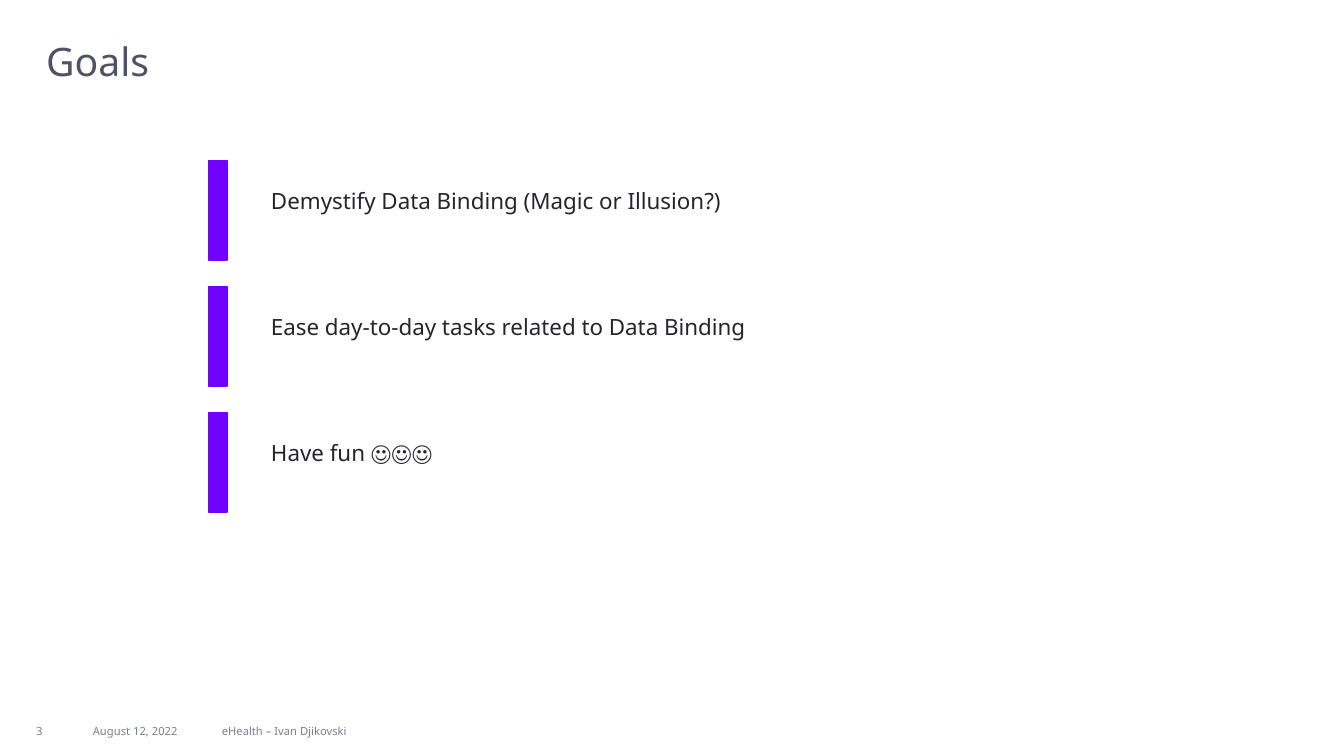
from pptx import Presentation
from pptx.dml.color import RGBColor
from pptx.enum.shapes import MSO_SHAPE
from pptx.enum.text import MSO_ANCHOR as ANCHOR, MSO_AUTO_SIZE as FIT, PP_ALIGN as ALIGN
from pptx.util import Cm, Pt

TITLE = {"size": Pt(28), "color": "515065"}
GOAL = {"size": Pt(16), "color": "26242E"}
FOOTER = {"size": Pt(8), "color": "7B7E8F"}
ACCENT = "7000FF"
GOALS = [
    "Demystify Data Binding (Magic or Illusion?)",
    "Ease day-to-day tasks related to Data Binding",
    "Have fun ☺☺☺",
]


def rgb(value):
    return RGBColor.from_string(value)


def write(tf, text, style, anchor, inset=None):
    frame = {"word_wrap": True, "auto_size": FIT.NONE, "vertical_anchor": anchor}
    if inset is not None:
        for side in ("left", "top", "right", "bottom"):
            frame[f"margin_{side}"] = inset
    for name, value in frame.items():
        setattr(tf, name, value)
    p = tf.paragraphs[0]
    p.alignment = ALIGN.LEFT
    r = p.add_run()
    r.text = text
    for name, value in {"name": "Noto Sans", "size": style["size"]}.items():
        setattr(r.font, name, value)
    r.font.color.rgb = rgb(style["color"])


def add_title(s, left, top, width, height, text):
    sp = s.shapes.title
    box = {"left": left, "top": top, "width": width, "height": height}
    for name, value in box.items():
        setattr(sp, name, value)
    write(sp.text_frame, text, TITLE, ANCHOR.TOP)


def add_goal(s, left, top, width, height, text):
    group = s.shapes.add_group_shape()
    indent = Cm(1.32)
    label = group.shapes.add_textbox(left + indent, top + Cm(0.51), width - indent, Cm(1.02))
    write(label.text_frame, text, GOAL, ANCHOR.MIDDLE)
    bar = group.shapes.add_shape(MSO_SHAPE.RECTANGLE, left, top, Cm(0.46), height)
    bar.shadow.inherit = False
    bar.fill.solid()
    bar.fill.fore_color.rgb = rgb(ACCENT)
    bar.line.color.rgb = rgb(ACCENT)
    bar.line.width = Pt(1)


def add_goals(s, left, top, width, height, goals):
    gap = Cm(0.66)
    row = (height - gap * (len(goals) - 1)) // len(goals)
    for i, text in enumerate(goals):
        add_goal(s, left, top + i * (row + gap), width, row, text)


def add_footer(s, left, top, number, date, author):
    parts = [
        (number, Cm(0), Cm(1.07), Cm(0.48), ANCHOR.BOTTOM),
        (date, Cm(1.43), Cm(2.87), Cm(0.48), ANCHOR.BOTTOM),
        (author, Cm(4.68), Cm(12.12), Cm(0.61), ANCHOR.MIDDLE),
    ]
    for text, offset, width, height, anchor in parts:
        sp = s.shapes.add_textbox(left + offset, top, width, height)
        write(sp.text_frame, text, FOOTER, anchor, inset=0)


def main():
    prs = Presentation()
    prs.slide_width, prs.slide_height = Cm(33.87), Cm(19.05)
    s = prs.slides.add_slide(prs.slide_layouts.get_by_name("Title Only"))
    s.background.fill.solid()
    s.background.fill.fore_color.rgb = rgb("FFFFFF")
    add_footer(s, Cm(0.91), Cm(18.11), "3", "August 12, 2022", "eHealth – Ivan Djikovski")
    add_title(s, Cm(0.91), Cm(0.81), Cm(32.03), Cm(2.79), "Goals")
    add_goals(s, Cm(5.26), Cm(4.04), Cm(22.22), Cm(8.86), GOALS)
    prs.save("out.pptx")


if __name__ == "__main__":
    main()
